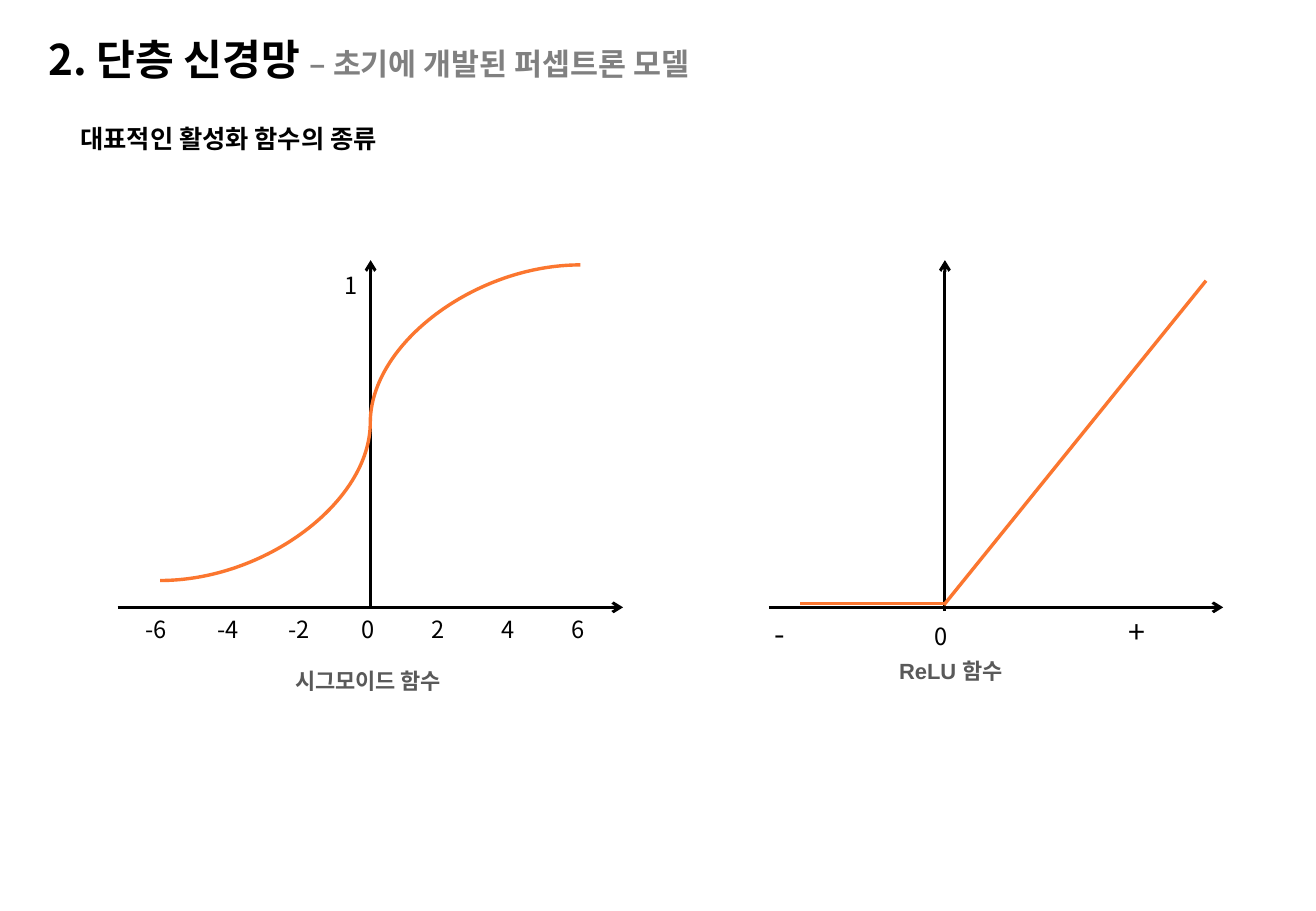
from dataclasses import dataclass

from lxml import etree
from pptx import Presentation
from pptx.dml.color import RGBColor
from pptx.enum.shapes import MSO_CONNECTOR, MSO_SHAPE
from pptx.enum.text import MSO_ANCHOR, MSO_AUTO_SIZE, PP_ALIGN
from pptx.oxml.ns import qn
from pptx.util import Cm, Pt

STRAIGHT, CURVE = MSO_CONNECTOR.STRAIGHT, MSO_CONNECTOR.CURVE
ROUNDED = MSO_SHAPE.ROUNDED_RECTANGLE
TOP, MIDDLE = MSO_ANCHOR.TOP, MSO_ANCHOR.MIDDLE
LEFT, CENTER = PP_ALIGN.LEFT, PP_ALIGN.CENTER
FIT_SHAPE, NO_FIT = MSO_AUTO_SIZE.SHAPE_TO_FIT_TEXT, MSO_AUTO_SIZE.NONE
TITLE_ONLY = 5


@dataclass(frozen=True)
class Theme:
    font: str = "Noto Sans CJK KR"
    caption_font: str = "Arial"
    ink: str = "000000"
    muted: str = "808080"
    caption: str = "595959"
    curve: str = "FB762F"
    title_size: int = 25
    subtitle_size: int = 18
    heading_size: int = 15
    tick_size: int = 14
    sign_size: int = 18
    caption_size: int = 13
    axis_width: float = 1.75
    curve_width: float = 2


class SlideBuilder:
    def __init__(self, slide, theme):
        self.slide = slide
        self.theme = theme

    def style(self, run, size, color, bold=False, font=None):
        run.font.size = Pt(size)
        run.font.bold = bold
        run.font.color.rgb = RGBColor.from_string(color)
        run.font.name = font or self.theme.font
        east_asian = etree.SubElement(run.font._element, qn("a:ea"))
        east_asian.set("typeface", self.theme.font)

    def frame(self, shape, insets, anchor=TOP, wrap=True, fit=FIT_SHAPE):
        frame = shape.text_frame
        frame.margin_left, frame.margin_top, frame.margin_right, frame.margin_bottom = map(Cm, insets)
        frame.vertical_anchor = anchor
        frame.word_wrap = wrap
        frame.auto_size = fit
        return frame

    def title(self, main, detail):
        title = self.slide.shapes.title
        title.left, title.top, title.width, title.height = Cm(0.79), Cm(0.48), Cm(22.4), Cm(1.4)
        frame = self.frame(title, (0.23, 0.1, 0.23, 0.1), MIDDLE)
        frame.text = main
        paragraph = frame.paragraphs[0]
        paragraph.alignment = LEFT
        paragraph.line_spacing = 1.1
        self.style(paragraph.runs[0], self.theme.title_size, self.theme.ink, True)
        detail_run = paragraph.add_run()
        detail_run.text = detail
        self.style(detail_run, self.theme.subtitle_size, self.theme.muted, True)

    def heading(self, text):
        box = self.slide.shapes.add_textbox(Cm(0.28), Cm(2.41), Cm(27.2), Cm(0.91))
        frame = self.frame(box, (1.4, 0.1, 0.23, 0.1))
        frame.text = text
        frame.paragraphs[0].line_spacing = 1.1
        self.style(frame.paragraphs[0].runs[0], self.theme.heading_size, self.theme.ink, True)

    def caption(self, text, left, top):
        shape = self.slide.shapes.add_shape(ROUNDED, Cm(left), Cm(top), Cm(10.67), Cm(0.61))
        shape.adjustments[0] = 0
        shape.shadow.inherit = False
        shape.fill.background()
        shape.line.fill.background()
        frame = self.frame(shape, (0, 0.13, 0, 0.13), MIDDLE, fit=NO_FIT)
        frame.text = text
        paragraph = frame.paragraphs[0]
        paragraph.alignment = CENTER
        paragraph.space_before = Pt(12)
        self.style(paragraph.runs[0], self.theme.caption_size, self.theme.caption, True, self.theme.caption_font)

    def label(self, text, left, top, width=0.79, height=0.86, size=None):
        box = self.slide.shapes.add_textbox(Cm(left), Cm(top), Cm(width), Cm(height))
        frame = self.frame(box, (0.25, 0.13, 0.25, 0.13), wrap=False)
        frame.text = text
        self.style(frame.paragraphs[0].runs[0], size or self.theme.tick_size, self.theme.ink)

    def line(self, start, end, color, width, kind=STRAIGHT):
        connector = self.slide.shapes.add_connector(kind, *map(Cm, start + end))
        connector.line.color.rgb = RGBColor.from_string(color)
        connector.line.width = Pt(width)
        etree.SubElement(connector._element.spPr, qn("a:effectLst"))
        return connector

    def axis(self, start, end):
        axis = self.line(start, end, self.theme.ink, self.theme.axis_width)
        etree.SubElement(axis.line._get_or_add_ln(), qn("a:tailEnd")).set("type", "arrow")

    def plot(self, start, end, kind=STRAIGHT):
        self.line(start, end, self.theme.curve, self.theme.curve_width, kind)


def draw_sigmoid(builder):
    builder.caption("시그모이드 함수", 2.36, 13.92)
    builder.axis((7.75, 12.7), (7.75, 5.44))
    builder.axis((2.46, 12.7), (13.03, 12.7))
    builder.plot((12.14, 5.54), (3.35, 12.14), CURVE)
    builder.label("1", 6.96, 5.54)
    for step, tick in enumerate(("0", "2", "4", "6")):
        builder.label(tick, 7.32 + 1.46 * step, 12.73)
    for step, tick in enumerate(("-6", "-4", "-2")):
        builder.label(tick, 2.79 + 1.5 * step, 12.73, width=0.99)


def draw_relu(builder):
    sign_size = builder.theme.sign_size
    builder.caption("ReLU 함수", 14.55, 13.72)
    builder.axis((19.76, 12.78), (19.76, 5.44))
    builder.axis((16.08, 12.7), (25.58, 12.7))
    builder.label("-", 15.95, 12.73, height=1.02, size=sign_size)
    builder.label("+", 23.34, 12.7, width=0.97, height=1.02, size=sign_size)
    builder.label("0", 19.3, 12.88)
    builder.plot((16.74, 12.62), (19.76, 12.62))
    builder.plot((19.74, 12.65), (25.22, 5.87))


def main():
    deck = Presentation()
    deck.slide_width, deck.slide_height = Cm(27.52), Cm(19.05)
    slide = deck.slides.add_slide(deck.slide_layouts[TITLE_ONLY])
    builder = SlideBuilder(slide, Theme())
    builder.title("2. 단층 신경망 ", "– 초기에 개발된 퍼셉트론 모델")
    builder.heading("대표적인 활성화 함수의 종류")
    draw_sigmoid(builder)
    draw_relu(builder)
    deck.save("out.pptx")


if __name__ == "__main__":
    main()
